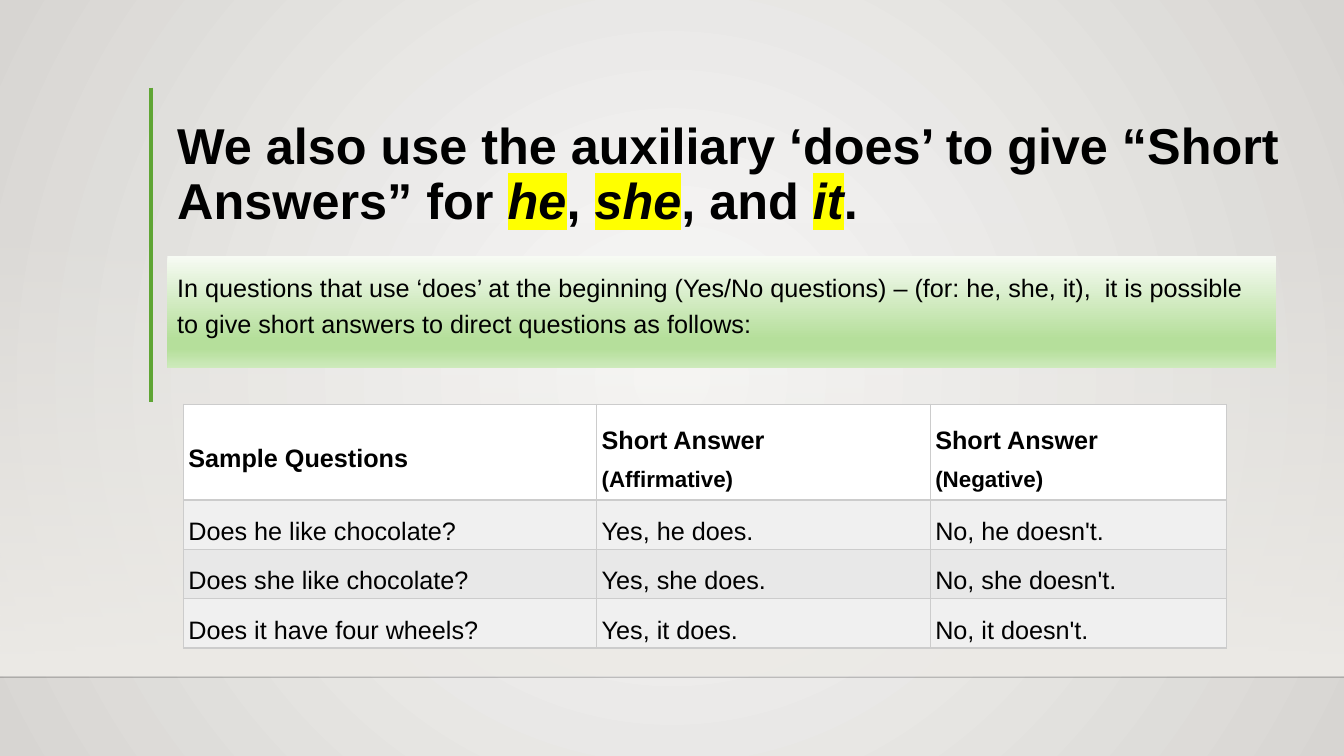
from lxml import etree
from pptx import Presentation
from pptx.dml.color import RGBColor
from pptx.enum.shapes import MSO_CONNECTOR, MSO_SHAPE
from pptx.enum.text import MSO_ANCHOR, PP_ALIGN
from pptx.oxml.ns import qn
from pptx.util import Pt

RECT = MSO_SHAPE.RECTANGLE
STRAIGHT = MSO_CONNECTOR.STRAIGHT
TOP, MIDDLE, BOTTOM = MSO_ANCHOR.TOP, MSO_ANCHOR.MIDDLE, MSO_ANCHOR.BOTTOM
LEFT = PP_ALIGN.LEFT
FONT = "Arial"
WIDTH, HEIGHT = 960, 540

COLORS = {
    "text": "000000", "highlight": "FFFF00", "accent": "5FA534",
    "center": "FAFAF9", "edge": "D7D5D2", "wall": "EDEBE7", "floor": "000001",
    "pale": "F7FBF4", "green": "B5DF9B", "light_green": "CEEABC",
    "border": "CCCCCC", "header": "FFFFFF", "odd": "F0F0F0", "even": "E8E8E8",
}

TITLE = [
    ("We also use the auxiliary ‘does’ to give “Short Answers” for ", False),
    ("he", True), (", ", False), ("she", True), (", and ", False),
    ("it", True), (".", False),
]
INTRO = ("In questions that use ‘does’ at the beginning (Yes/No questions) – "
         "(for: he, she, it),  it is possible to give short answers to direct "
         "questions as follows:")
HEADERS = [("Sample Questions", ""), ("Short Answer", "(Affirmative)"),
           ("Short Answer", "(Negative)")]
QUESTIONS = [("he", "like chocolate"), ("she", "like chocolate"),
             ("it", "have four wheels")]
COLUMN_WIDTHS = [295.2, 238.3, 211.7]
HEADER_HEIGHT, ROW_HEIGHT = 64.3, 33.2


def rgb(name):
    return RGBColor.from_string(COLORS[name])


def add_color(parent, name, alpha=100):
    clr = etree.SubElement(parent, qn("a:srgbClr"), val=COLORS[name])
    if alpha < 100:
        etree.SubElement(clr, qn("a:alpha"), val=str(alpha * 1000))


def set_gradient(fill, element, stops, radial=False):
    """Fill with (position, colour, opacity) stops, downward or from the centre."""
    fill.solid()
    solid = element.find(qn("a:solidFill"))
    grad = etree.Element(qn("a:gradFill"), rotWithShape="1")
    stop_list = etree.SubElement(grad, qn("a:gsLst"))
    for position, name, alpha in stops:
        stop = etree.SubElement(stop_list, qn("a:gs"), pos=str(position * 1000))
        add_color(stop, name, alpha)
    if radial:
        shade = etree.SubElement(grad, qn("a:path"), path="circle")
        etree.SubElement(shade, qn("a:fillToRect"),
                         l="50000", t="50000", r="50000", b="50000")
    else:
        etree.SubElement(grad, qn("a:lin"), ang="5400000", scaled="0")
    element.replace(solid, grad)


def set_background(s):
    fill = s.background.fill
    fill.solid()
    element = s.element.find(".//" + qn("p:bgPr"))
    set_gradient(fill, element, [(0, "center", 100), (100, "edge", 100)], radial=True)


def add_gradient_rect(s, box, stops):
    sp = s.shapes.add_shape(RECT, *map(Pt, box))
    sp.shadow.inherit = False
    sp.line.fill.background()
    set_gradient(sp.fill, sp.element.spPr, stops)
    return sp


def add_line(s, x1, y1, x2, y2, name, width, alpha=100):
    line = s.shapes.add_connector(STRAIGHT, Pt(x1), Pt(y1), Pt(x2), Pt(y2))
    line.line.width = Pt(width)
    line.line.color.rgb = rgb(name)
    if alpha < 100:
        clr = line.element.spPr.find(".//" + qn("a:srgbClr"))
        etree.SubElement(clr, qn("a:alpha"), val=str(alpha * 1000))
    etree.SubElement(line.element.spPr, qn("a:effectLst"))


def set_margins(target, left, top, right, bottom):
    target.margin_left, target.margin_top = Pt(left), Pt(top)
    target.margin_right, target.margin_bottom = Pt(right), Pt(bottom)


def format_paragraph(p, size, spacing, bold=False):
    p.alignment = LEFT
    p.line_spacing = spacing
    p.font.name = FONT
    p.font.size = Pt(size)
    p.font.bold = bold
    p.font.color.rgb = rgb("text")


def add_run(p, text):
    r = p.add_run()
    r.text = text
    return r


def add_title(s):
    tf = s.shapes.add_textbox(Pt(119.5), Pt(56.2), Pt(827.3), Pt(111.6)).text_frame
    tf.word_wrap = True
    tf.vertical_anchor = BOTTOM
    p = tf.paragraphs[0]
    format_paragraph(p, 36, 0.9, bold=True)
    for text, marked in TITLE:
        r = add_run(p, text)
        if marked:
            r.font.italic = True
            mark = etree.SubElement(r.font._element, qn("a:highlight"))
            add_color(mark, "highlight")


def add_intro(s):
    sp = add_gradient_rect(s, (119.5, 182.9, 792, 79.9), [
        (0, "pale", 100), (74, "green", 100), (83, "green", 100),
        (100, "light_green", 100)])
    tf = sp.text_frame
    tf.word_wrap = True
    tf.vertical_anchor = TOP
    set_margins(tf, 7.2, 7.2, 7.2, 3.6)
    p = tf.paragraphs[0]
    format_paragraph(p, 18, 1.2)
    p.space_before = Pt(10)
    add_run(p, INTRO)


def style_cell(cell, fill, margins, bottom_width):
    cell.vertical_anchor = MIDDLE
    set_margins(cell, *margins)
    cell.fill.solid()
    cell.fill.fore_color.rgb = rgb(fill)
    tc_pr = cell._tc.get_or_add_tcPr()
    widths = {"lnL": 1, "lnR": 1, "lnT": 1, "lnB": bottom_width}
    for i, (side, width) in enumerate(widths.items()):
        ln = etree.Element(qn("a:" + side), w=str(Pt(width)))
        add_color(etree.SubElement(ln, qn("a:solidFill")), "border")
        tc_pr.insert(i, ln)


def add_answer_table(s):
    rows = [(f"Does {who} {what}?", f"Yes, {who} does.", f"No, {who} doesn't.")
            for who, what in QUESTIONS]
    height = HEADER_HEIGHT + ROW_HEIGHT * len(rows)
    table = s.shapes.add_table(len(rows) + 1, len(HEADERS), Pt(131), Pt(288.7),
                               Pt(sum(COLUMN_WIDTHS)), Pt(height)).table
    table.first_row = table.horz_banding = False
    for column, width in zip(table.columns, COLUMN_WIDTHS):
        column.width = Pt(width)
    for i, row in enumerate(table.rows):
        row.height = Pt(ROW_HEIGHT if i else HEADER_HEIGHT)

    for j, (heading, note) in enumerate(HEADERS):
        cell = table.cell(0, j)
        style_cell(cell, "header", (3.6, 3.6, 7.2, 3.6), 1.5)
        p = cell.text_frame.paragraphs[0]
        format_paragraph(p, 18, 1.5, bold=True)
        add_run(p, heading)
        if note:
            p.add_line_break()
            add_run(p, note).font.size = Pt(16)

    for i, texts in enumerate(rows, 1):
        for j, text in enumerate(texts):
            cell = table.cell(i, j)
            style_cell(cell, "odd" if i % 2 else "even", (3.6, 1.44, 3.6, 1.44), 1)
            p = cell.text_frame.paragraphs[0]
            format_paragraph(p, 18, 1.5)
            add_run(p, text)


def main():
    prs = Presentation()
    prs.slide_width, prs.slide_height = Pt(WIDTH), Pt(HEIGHT)
    s = prs.slides.add_slide(prs.slide_layouts[6])
    set_background(s)
    add_gradient_rect(s, (0, 158.4, WIDTH, 324), [(0, "wall", 0), (100, "wall", 100)])
    add_line(s, 0, 483.8, WIDTH, 483.8, "floor", 1, alpha=20)
    add_line(s, 108, 62.6, 108, 287.3, "accent", 3)
    add_title(s)
    add_intro(s)
    add_answer_table(s)
    prs.save("out.pptx")


if __name__ == "__main__":
    main()
